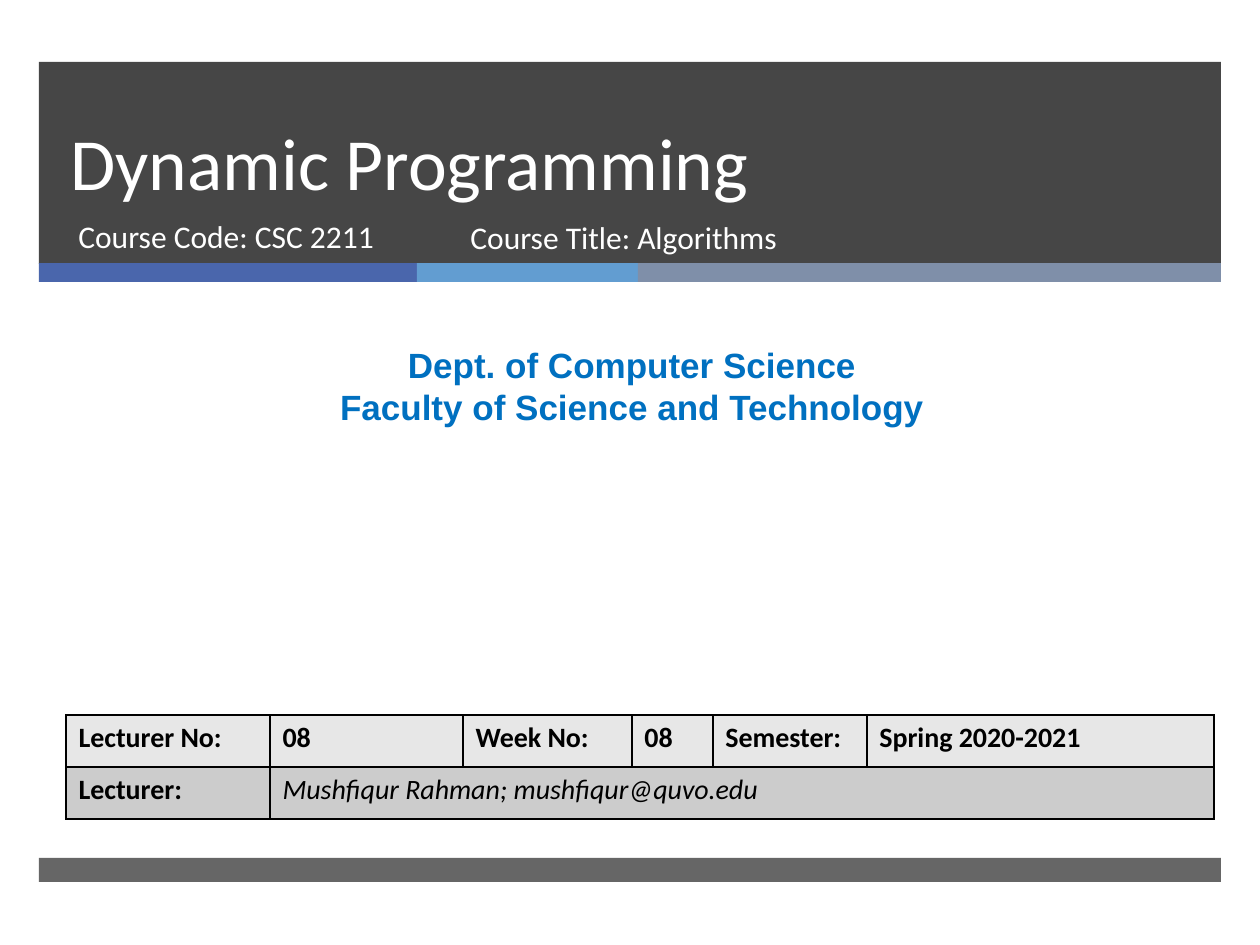
from lxml import etree
from pptx import Presentation
from pptx import util as u
from pptx.dml.color import RGBColor
from pptx.enum import shapes, text
from pptx.oxml import ns

PX = u.Inches(1) / 126
COLORS = {
    "dark": "262626", "blue": "4A66AC", "sky": "629DD1", "slate": "7F8FA9",
    "white": "FFFFFF", "black": "000000", "dept": "0070C0",
    "row_light": "E7E7E7", "row_dark": "CCCCCC",
}


def px(*lengths):
    return [u.Emu(round(length * PX)) for length in lengths]


def write(frame, content, size=18, color="white", font="Calibri", bold=False,
          italic=False, align=text.PP_ALIGN.LEFT, anchor=text.MSO_ANCHOR.TOP,
          spacing=None):
    frame.word_wrap = True
    frame.vertical_anchor = anchor
    for index, line in enumerate(content.split("\n")):
        para = frame.add_paragraph() if index else frame.paragraphs[0]
        para.alignment = align
        if spacing:
            para.line_spacing = u.Pt(spacing)
        span = para.add_run()
        span.text = line
        span.font.name = font
        span.font.size = u.Pt(size)
        span.font.bold = bold
        span.font.italic = italic
        span.font.color.rgb = RGBColor.from_string(COLORS[color])


deck = Presentation()
deck.slide_width, deck.slide_height = px(1260, 945)
page = deck.slides.add_slide(deck.slide_layouts[6])

bands = [
    (39, 62, 1182, 202, "dark", 85),
    (39, 263, 378, 19, "blue", 100),
    (417, 263, 221, 19, "sky", 100),
    (638, 263, 583, 19, "slate", 100),
    (39, 858, 1182, 24, "dark", 70),
]
for left, top, width, height, color, opacity in bands:
    band = page.shapes.add_shape(shapes.MSO_SHAPE.RECTANGLE, *px(left, top, width, height))
    band.shadow.inherit = False
    band.line.fill.background()
    band.fill.solid()
    band.fill.fore_color.rgb = RGBColor.from_string(COLORS[color])
    if opacity < 100:
        tint = band.fill._xPr.find(".//" + ns.qn("a:srgbClr"))
        etree.SubElement(tint, ns.qn("a:alpha"), val=str(opacity * 1000))

labels = [
    (58, 61, 1076, 150, "Dynamic Programming",
     dict(size=42, anchor=text.MSO_ANCHOR.BOTTOM, spacing=46)),
    (66, 211, 384, 67, "Course Code: CSC 2211", {}),
    (458, 212, 573, 67, "Course Title: Algorithms", {}),
    (10, 337, 1244, 97, "Dept. of Computer Science\nFaculty of Science and Technology",
     dict(size=20, color="dept", font="Arial", bold=True, align=text.PP_ALIGN.CENTER)),
]
for left, top, width, height, content, style in labels:
    box = page.shapes.add_textbox(*px(left, top, width, height))
    write(box.text_frame, content, **style)

widths = [204, 193, 169, 81, 154, 347]
rows = [
    ["Lecturer No:", "08", "Week No:", "08", "Semester:", "Spring 2020-2021"],
    ["Lecturer:", "Mushfiqur Rahman; mushfiqur@quvo.edu"],
]
table = page.shapes.add_table(2, 6, *px(66, 715, sum(widths), 104)).table
table.first_row = table.horz_banding = False
for column, width in zip(table.columns, widths):
    column.width = px(width)[0]
table.cell(1, 1).merge(table.cell(1, 5))

for r, (row, shade) in enumerate(zip(rows, ["row_light", "row_dark"])):
    table.rows[r].height = px(52)[0]
    for c in range(len(widths)):
        cell = table.cell(r, c)
        if c < len(row):
            is_name = (r, c) == (1, 1)
            write(cell.text_frame, row[c], size=16, color="black",
                  bold=not is_name, italic=is_name)
        props = cell._tc.get_or_add_tcPr()
        for side in ("lnL", "lnR", "lnT", "lnB"):
            border = etree.SubElement(props, ns.qn("a:" + side), w=str(u.Pt(1)))
            paint = etree.SubElement(border, ns.qn("a:solidFill"))
            etree.SubElement(paint, ns.qn("a:srgbClr"), val=COLORS["black"])
        cell.fill.solid()
        cell.fill.fore_color.rgb = RGBColor.from_string(COLORS[shade])

deck.save("out.pptx")
